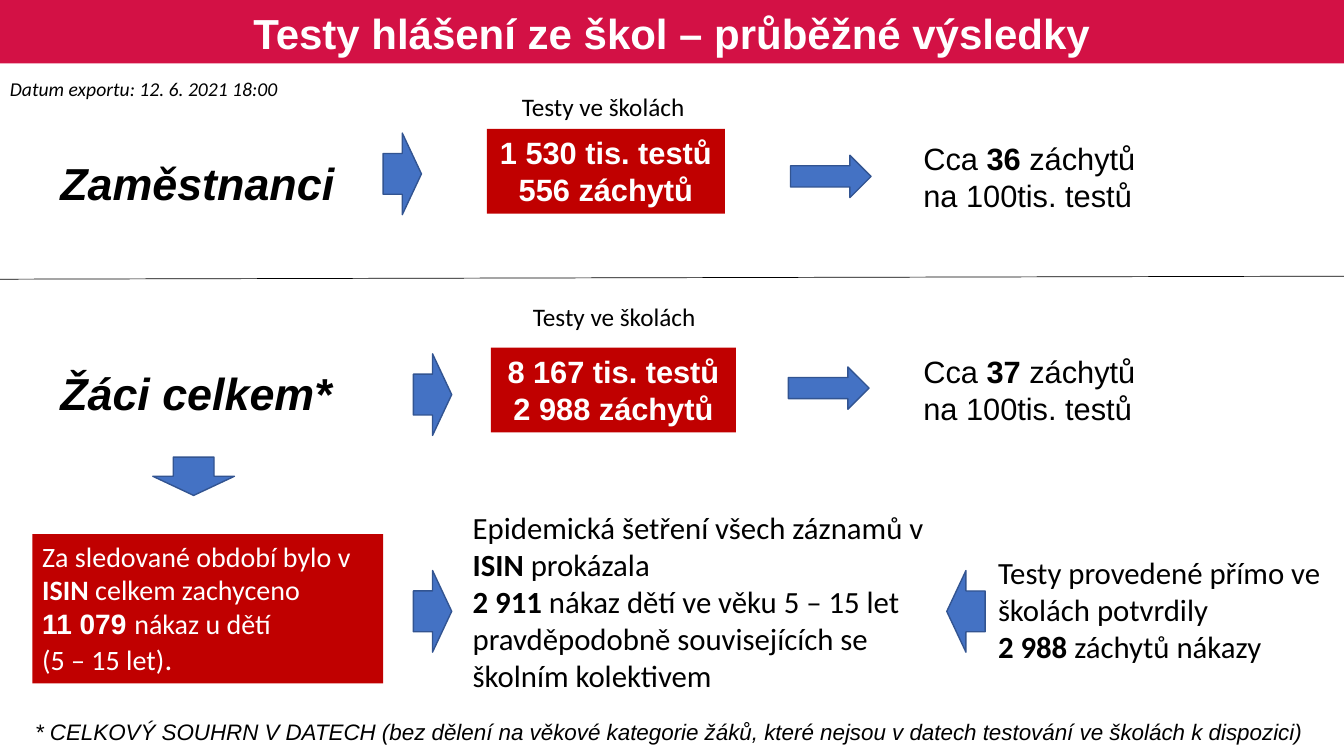
from lxml.etree import SubElement
from pptx import Presentation
from pptx.dml.color import RGBColor
from pptx.enum.shapes import MSO_CONNECTOR, MSO_SHAPE
from pptx.enum.text import MSO_ANCHOR, PP_ALIGN
from pptx.oxml.ns import qn
from pptx.util import Inches, Pt

COLORS = {
    "banner": "D31145",
    "red": "C00000",
    "arrow": "4472C4",
    "arrow_line": "325491",
    "white": "FFFFFF",
    "black": "000000",
}


def color(name):
    return RGBColor.from_string(COLORS[name])


def add_bar(page, left, top, width, height, fill):
    bar = page.shapes.add_shape(MSO_SHAPE.RECTANGLE, Inches(left), Inches(top),
                                Inches(width), Inches(height))
    bar.shadow.inherit = False
    bar.fill.solid()
    bar.fill.fore_color.rgb = color(fill)
    bar.line.fill.background()


def add_spans(para, text):
    """Add runs to a paragraph: ** switches bold, \\v breaks the line."""
    for index, part in enumerate(text.split("**")):
        for line, piece in enumerate(part.split("\v")):
            if line:
                para.add_line_break()
            if piece:
                span = para.add_run()
                span.text = piece
                if index % 2:
                    span.font.bold = True


def add_text(page, place, lines, size, font="Arial", ink="black", fill=None,
             bold=False, italic=False, align=PP_ALIGN.LEFT):
    box = page.shapes.add_textbox(*[Inches(length) for length in place])
    if fill:
        box.fill.solid()
        box.fill.fore_color.rgb = color(fill)
    frame = box.text_frame
    frame.word_wrap = True
    for index, text in enumerate(lines):
        para = frame.add_paragraph() if index else frame.paragraphs[0]
        para.alignment = align
        para.font.name = font
        para.font.size = Pt(size)
        para.font.bold = bold
        para.font.italic = italic
        para.font.color.rgb = color(ink)
        add_spans(para, text)
    return frame


def add_arrow(page, left, top, width=0.38, height=0.81, rotation=0):
    arrow = page.shapes.add_shape(MSO_SHAPE.RIGHT_ARROW, Inches(left), Inches(top),
                                  Inches(width), Inches(height))
    arrow.rotation = rotation
    arrow.shadow.inherit = False
    arrow.fill.solid()
    arrow.fill.fore_color.rgb = color("arrow")
    arrow.line.color.rgb = color("arrow_line")
    arrow.line.width = Pt(1)


def add_divider(page):
    divider = page.shapes.add_connector(MSO_CONNECTOR.STRAIGHT, Inches(0), Inches(2.77),
                                        Inches(13.33), Inches(2.74))
    divider.line.color.rgb = color("black")
    divider.line.width = Pt(0.5)
    SubElement(divider._element.spPr, qn("a:effectLst"))


def add_group_row(page, name, name_top, caption_at, result_at, results,
                  rate, rate_top, arrow_at, rate_arrow_at):
    """One tested group: its name, test results and rate of positives."""
    add_text(page, (0.5, name_top, 3.03, 0.64), [name], 32, bold=True, italic=True)
    add_arrow(page, *arrow_at)
    add_text(page, (*caption_at, 4.04, 0.4), ["Testy ve školách "], 18, "Calibri",
             align=PP_ALIGN.CENTER)
    add_text(page, (*result_at, 0.84), results, 22, ink="white", fill="red",
             bold=True, align=PP_ALIGN.CENTER)
    add_arrow(page, *rate_arrow_at, 0.8, 0.42)
    add_text(page, (9.06, rate_top, 2.71, 0.84),
             [f"Cca **{rate}** záchytů na 100tis. testů"], 22, fill="white")


def add_summary(page):
    found = add_text(page, (0.32, 5.3, 3.48, 1.48),
                     ["Za sledované období bylo v **ISIN** celkem zachyceno\v"
                      "**11 079 **nákaz u dětí", "(5 – 15 let)"],
                     20, "Calibri", ink="white", fill="red")
    found.paragraphs[0].runs[3].font.name = "Arial"
    full_stop = found.paragraphs[1].add_run()
    full_stop.text = "."
    full_stop.font.size = Pt(22)

    add_text(page, (9.8, 5.44, 3.51, 1.21),
             ["Testy provedené přímo ve školách potvrdily", "**2 988 **záchytů nákazy"],
             22, "Calibri", fill="white")
    add_text(page, (4.59, 5, 4.74, 1.95),
             ["Epidemická šetření všech záznamů v **ISIN** prokázala",
              "**2 911 **nákaz dětí ve věku 5 – 15 let pravděpodobně "
              "souvisejících se školním kolektivem"],
             22, "Calibri", fill="white")
    add_arrow(page, 1.73, 4.32, rotation=90)
    add_arrow(page, 4.1, 5.66)
    add_arrow(page, 9.39, 5.66, rotation=180)


def main():
    deck = Presentation()
    deck.slide_width, deck.slide_height = Inches(13.33), Inches(7.5)
    page = deck.slides.add_slide(deck.slide_layouts[6])

    add_bar(page, 0, 0, 13.33, 0.63, "banner")
    title = add_text(page, (0.18, 0.04, 12.97, 0.63),
                     ["Testy hlášení ze škol – průběžné výsledky"], 30,
                     ink="white", bold=True, align=PP_ALIGN.CENTER)
    title.vertical_anchor = MSO_ANCHOR.MIDDLE
    title.paragraphs[0].line_spacing = 0.9
    add_text(page, (0, 0.71, 3.12, 0.34), ["Datum exportu: 12. 6. 2021 18:00"], 14,
             "Calibri", italic=True)

    add_group_row(page, "Zaměstnanci", 1.5, (3.99, 0.86), (4.83, 1.28, 2.36),
                  ["1 530 tis. testů", "556 záchytů"], 36, 1.34, (3.8, 1.32), (7.84, 1.54))
    add_divider(page)
    add_group_row(page, "Žáci celkem*", 3.58, (4.1, 2.94), (4.87, 3.45, 2.43),
                  ["8 167 tis. testů", "2 988 záchytů"], 37, 3.45, (4.1, 3.51), (7.82, 3.64))
    add_summary(page)
    add_text(page, (0.25, 7.08, 13.23, 0.37),
             ["* CELKOVÝ SOUHRN V DATECH (bez dělení na věkové kategorie žáků, "
              "které nejsou v datech testování ve školách k dispozici)"], 16, italic=True)
    deck.save("out.pptx")


if __name__ == "__main__":
    main()
